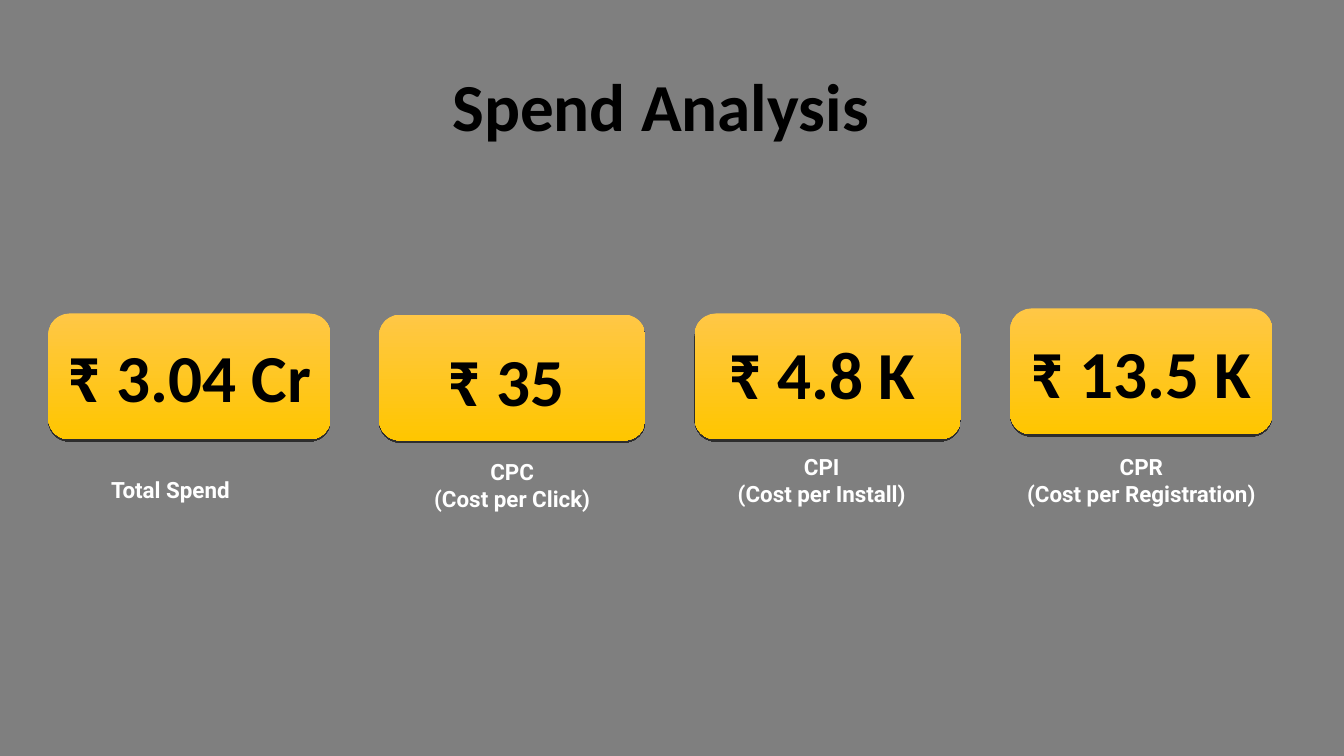
from dataclasses import dataclass

from lxml import etree
from pptx import Presentation
from pptx import util as u
from pptx.dml import color as dml
from pptx.enum import shapes, text
from pptx.oxml import ns

COLORS = {"ink": "000000", "caption": "FFFFFF", "page": "FFFFFF",
          "card_top": "FFC746", "card_bottom": "FFC600"}
SLIDE_WIDTH, SLIDE_HEIGHT = 13.33, 7.5
CARD_HEIGHT, CORNER_RADIUS = 1.25, 0.21
VALUE_SIZE, CAPTION_SIZE = (3.41, 0.91), (3.18, 0.64)


@dataclass
class Metric:
    """A card's box and text; shifts are (from card centre, from card top)."""
    value: str
    caption: tuple
    left: float
    top: float
    width: float
    value_shift: tuple
    caption_shift: tuple


METRICS = [
    Metric("₹ 3.04 Cr", ("Total Spend",), 0.48, 3.11, 2.8, (0, 0.17), (-0.19, 1.56)),
    Metric("₹ 35", ("CPC", "(Cost per Click)"), 3.76, 3.12, 2.64, (-0.06, 0.2), (0, 1.38)),
    Metric("₹ 4.8 K", ("CPI", "(Cost per Install)"), 6.89, 3.11, 2.64, (-0.06, 0.14), (-0.06, 1.34)),
    Metric("₹ 13.5 K", ("CPR", "(Cost per Registration)"), 10.02, 3.06, 2.6, (0, 0.18), (0, 1.39)),
]


def rgb(name):
    return dml.RGBColor.from_string(COLORS[name])


def add_child(parent, tag, **attributes):
    child = etree.SubElement(parent, ns.qn(tag))
    for name, value in attributes.items():
        child.set(name, str(value))
    return child


def write_text(shape, *lines, size, font, color):
    """Fill a shape with bold, centred lines."""
    frame = shape.text_frame
    frame.word_wrap = True
    frame.auto_size = text.MSO_AUTO_SIZE.NONE
    frame.vertical_anchor = text.MSO_ANCHOR.TOP
    for index, line in enumerate(lines):
        paragraph = frame.paragraphs[0] if index == 0 else frame.add_paragraph()
        paragraph.alignment = text.PP_ALIGN.CENTER
        paragraph.line_spacing = 1.0
        paragraph.space_before = u.Pt(0)
        run = paragraph.add_run()
        run.text = line
        run.font.size = u.Pt(size)
        run.font.name = font
        run.font.bold = True
        run.font.color.rgb = rgb(color)


def add_title(slide, title, left, top, width, height):
    shape = slide.shapes.title
    shape.left, shape.top = u.Inches(left), u.Inches(top)
    shape.width, shape.height = u.Inches(width), u.Inches(height)
    write_text(shape, title, size=48, font="Calibri", color="ink")


def add_dimmer(slide):
    """Cover the slide with half-transparent black."""
    shape = slide.shapes.add_shape(shapes.MSO_SHAPE.RECTANGLE, 0, 0,
                                   u.Inches(SLIDE_WIDTH), u.Inches(SLIDE_HEIGHT))
    shape.shadow.inherit = False
    shape.line.fill.background()
    shape.fill.solid()
    shape.fill.fore_color.rgb = rgb("ink")
    fill_color = shape.element.spPr.find(".//" + ns.qn("a:srgbClr"))
    add_child(fill_color, "a:alpha", val=50000)


def add_card(slide, left, top, width, height):
    shape = slide.shapes.add_shape(shapes.MSO_SHAPE.ROUNDED_RECTANGLE, u.Inches(left),
                                   u.Inches(top), u.Inches(width), u.Inches(height))
    shape.adjustments[0] = CORNER_RADIUS / height
    shape.line.fill.background()
    shape.fill.gradient()
    shape.fill.gradient_angle = 270
    for stop, name in zip(shape.fill.gradient_stops, ("card_top", "card_bottom")):
        stop.color.rgb = rgb(name)
    shape.shadow.inherit = False
    effects = shape.element.spPr.find(ns.qn("a:effectLst"))
    shadow = add_child(effects, "a:outerShdw", blurRad=0, dist=u.Pt(1.5),
                       dir=5400000, algn="ctr", rotWithShape=0)
    shadow_color = add_child(shadow, "a:srgbClr", val=COLORS["ink"])
    add_child(shadow_color, "a:alpha", val=63000)


def add_centered_text(slide, *lines, center, top, box_size, **text_format):
    width, height = box_size
    box = slide.shapes.add_textbox(u.Inches(center - width / 2), u.Inches(top),
                                   u.Inches(width), u.Inches(height))
    write_text(box, *lines, **text_format)


def add_metric(slide, metric):
    add_card(slide, metric.left, metric.top, metric.width, CARD_HEIGHT)
    center = metric.left + metric.width / 2
    shift, drop = metric.value_shift
    add_centered_text(slide, metric.value, center=center + shift, top=metric.top + drop,
                      box_size=VALUE_SIZE, size=48, font="Calibri", color="ink")
    shift, drop = metric.caption_shift
    add_centered_text(slide, *metric.caption, center=center + shift, top=metric.top + drop,
                      box_size=CAPTION_SIZE, size=16, font="Roboto", color="caption")


def main():
    presentation = Presentation()
    presentation.slide_width = u.Inches(SLIDE_WIDTH)
    presentation.slide_height = u.Inches(SLIDE_HEIGHT)
    slide = presentation.slides.add_slide(presentation.slide_layouts.get_by_name("Title Only"))
    slide.background.fill.solid()
    slide.background.fill.fore_color.rgb = rgb("page")
    add_title(slide, "Spend Analysis", 0.36, 0.59, 12.39, 0.91)
    add_dimmer(slide)
    for metric in METRICS:
        add_metric(slide, metric)
    presentation.save("out.pptx")


if __name__ == "__main__":
    main()
